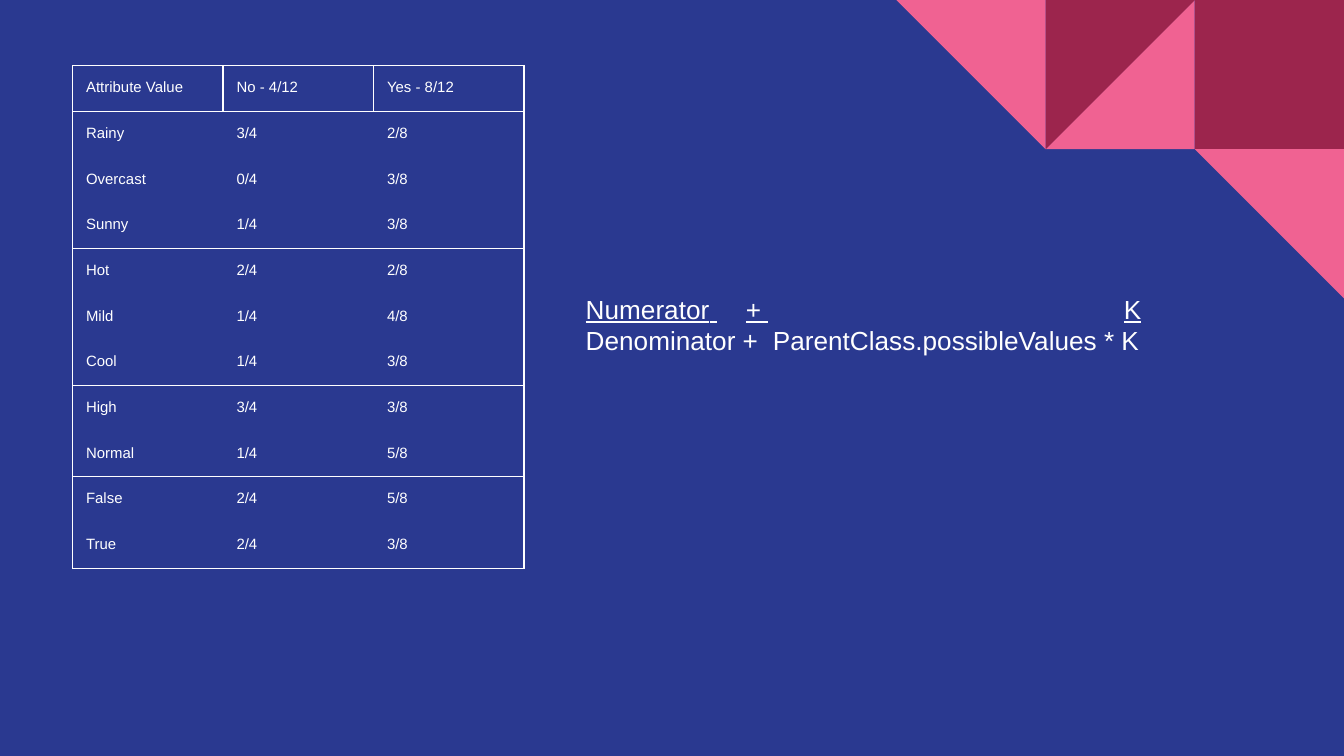
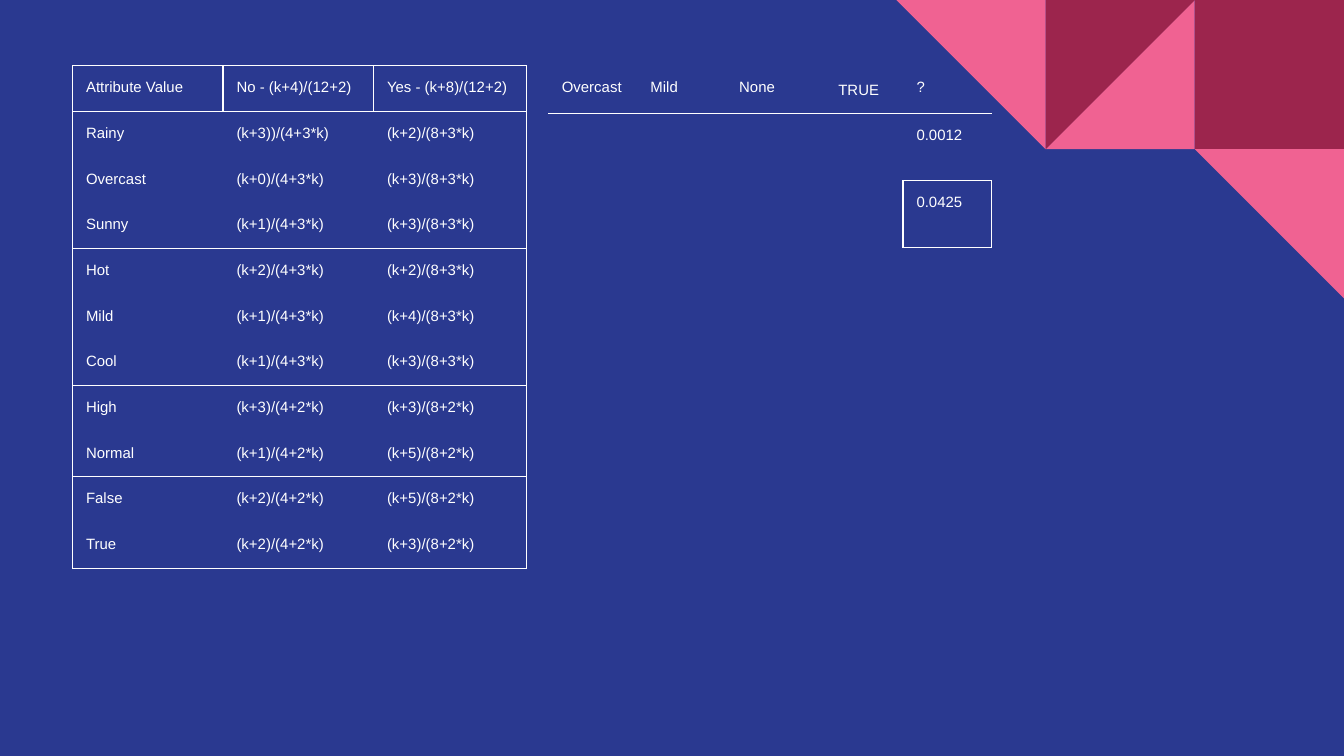
from lxml import etree
from pptx import Presentation
from pptx.dml.color import RGBColor
from pptx.enum import shapes, text
from pptx.oxml import ns
from pptx.util import Inches, Pt

BLUE = RGBColor(0x2A, 0x39, 0x90)
PINK = RGBColor(0xF0, 0x62, 0x92)
CRIMSON = RGBColor(0x9C, 0x25, 0x4D)
WHITE = RGBColor(0xFF, 0xFF, 0xFF)
FONT = "Arial"
INSET = 0.1
ROW_HEIGHT = 0.34
NO_STYLE_NO_GRID = "{2D5ABB26-0587-4C30-8999-92F81FD0307C}"

# Attribute values with their "No" and "Yes" counts, one group per attribute
NO_TOTAL, YES_TOTAL = 4, 8
ATTRIBUTES = [
    [("Rainy", 3, 2), ("Overcast", 0, 3), ("Sunny", 1, 3)],
    [("Hot", 2, 2), ("Mild", 1, 4), ("Cool", 1, 3)],
    [("High", 3, 3), ("Normal", 1, 5)],
    [("False", 2, 5), ("True", 2, 3)],
]


def set_insets(target):
    for side in ("left", "right", "top", "bottom"):
        setattr(target, f"margin_{side}", Inches(INSET))


def write_text(paragraph, content, size=8, underline=False, align=None,
               spacing=None, tracking=0):
    run = paragraph.add_run()
    run.text = content
    run.font.name = FONT
    run.font.size = Pt(size)
    run.font.color.rgb = WHITE
    run.font.underline = underline
    if align is not None:
        paragraph.alignment = align
    if spacing is not None:
        paragraph.line_spacing = spacing
    if tracking:
        run.font._element.set("spc", str(round(tracking * 100)))


# Shared master: background and corner pattern
def add_corner_pattern(group, left, top, side):
    rectangle = shapes.MSO_SHAPE.RECTANGLE
    triangle = shapes.MSO_SHAPE.RIGHT_TRIANGLE
    tiles = [  # column, row, preset, colour, rotation, flipped
        (2, 0, rectangle, CRIMSON, 0, False),
        (1, 0, triangle, PINK, 0, True),
        (1, 0, triangle, CRIMSON, 180, True),
        (0, 0, triangle, PINK, 180, False),
        (2, 1, triangle, PINK, 180, False),
    ]
    for column, row, preset, colour, rotation, flipped in tiles:
        tile = group.shapes.add_shape(
            preset, Inches(left + column * side), Inches(top + row * side),
            Inches(side), Inches(side))
        tile.shadow.inherit = False
        tile.fill.solid()
        tile.fill.fore_color.rgb = colour
        tile.line.fill.background()
        tile.rotation = rotation
        if flipped:
            tile.element.spPr.xfrm.set("flipH", "1")


def decorate_master(presentation, slide):
    master = presentation.slide_master
    master.background.fill.solid()
    master.background.fill.fore_color.rgb = BLUE
    group = slide.shapes.add_group_shape()
    add_corner_pattern(group, 6.67, 0, 1.11)
    master.element.cSld.spTree.append(group.element)


# Tables
def outline(first_row, last_row, first_column, last_column):
    """Return the grid edges around a block of cells."""
    edges = set()
    for row in range(first_row, last_row + 1):
        edges |= {("V", row, first_column), ("V", row, last_column + 1)}
    for column in range(first_column, last_column + 1):
        edges |= {("H", first_row, column), ("H", last_row + 1, column)}
    return edges


def draw_borders(table, edges):
    """Draw the given grid edges and clear all others."""
    for row in range(len(table.rows)):
        for column in range(len(table.columns)):
            properties = table.cell(row, column)._tc.get_or_add_tcPr()
            sides = {"L": ("V", row, column), "R": ("V", row, column + 1),
                     "T": ("H", row, column), "B": ("H", row + 1, column)}
            for index, (side, edge) in enumerate(sides.items()):
                line = etree.Element(ns.qn(f"a:ln{side}"), w=str(Pt(0.75)))
                if edge in edges:
                    fill = etree.SubElement(line, ns.qn("a:solidFill"))
                    etree.SubElement(fill, ns.qn("a:srgbClr"), val=str(WHITE))
                else:
                    etree.SubElement(line, ns.qn("a:noFill"))
                properties.insert(index, line)


def set_empty_font(paragraph, size):
    end = etree.SubElement(paragraph._p, ns.qn("a:endParaRPr"), sz=str(size * 100))
    etree.SubElement(end, ns.qn("a:latin"), typeface=FONT)


def add_plain_table(slide, left, top, widths, rows, centred=()):
    frame = slide.shapes.add_table(
        len(rows), len(widths), Inches(left), Inches(top),
        Inches(sum(widths)), Inches(ROW_HEIGHT * len(rows)))
    table = frame.table
    table.first_row = table.horz_banding = False
    for style in frame.element.iter(ns.qn("a:tableStyleId")):
        style.text = NO_STYLE_NO_GRID
    for column, width in zip(table.columns, widths):
        column.width = Inches(width)
    for row_index, values in enumerate(rows):
        table.rows[row_index].height = Inches(ROW_HEIGHT)
        for column_index, value in enumerate(values):
            cell = table.cell(row_index, column_index)
            set_insets(cell)
            cell.fill.background()
            paragraph = cell.text_frame.paragraphs[0]
            if value in centred:
                write_text(paragraph, value, align=text.PP_ALIGN.CENTER, spacing=1.15)
            elif value:
                write_text(paragraph, value)
            else:
                set_empty_font(paragraph, 18)
    return table


def add_attribute_table(slide, left, top, widths, header, rows):
    table = add_plain_table(slide, left, top, widths, [header] + rows)
    edges = set()
    for column in range(len(widths)):
        edges |= outline(0, 0, column, column)
    start = 1
    for group in ATTRIBUTES:
        edges |= outline(start, start + len(group) - 1, 0, len(widths) - 1)
        start += len(group)
    draw_borders(table, edges)


def add_prediction_table(slide, left, top):
    rows = [["Overcast", "Mild", "None", "TRUE", "?"],
            ["", "", "", "", "0.0012"],
            ["", "", "", "", "0.0425"]]
    table = add_plain_table(slide, left, top, [0.66] * 5, rows, centred=("TRUE",))
    header_rule = {("H", 1, column) for column in range(5)}
    draw_borders(table, header_rule | outline(2, 2, 4, 4))


# Smoothing formula: the gaps are single spaces, widened by tracking
def add_formula(slide, left, top, width, height):
    box = slide.shapes.add_textbox(Inches(left), Inches(top),
                                   Inches(width), Inches(height))
    frame = box.text_frame
    frame.word_wrap = True
    set_insets(frame)
    numerator = [("Numerator", 0), (" ", 15.5), ("+", 0), (" ", 190.5), ("K", 0)]
    denominator = [("Denominator +", 0), (" ", 3.9),
                   ("ParentClass.possibleValues * K", 0)]
    for content, tracking in numerator:
        write_text(frame.paragraphs[0], content, size=14, underline=True,
                   tracking=tracking)
    second_line = frame.add_paragraph()
    for content, tracking in denominator:
        write_text(second_line, content, size=14, tracking=tracking)


# Slides
def fill_counts_slide(slide):
    rows = [[name, f"{no}/{NO_TOTAL}", f"{yes}/{YES_TOTAL}"]
            for group in ATTRIBUTES for name, no, yes in group]
    add_attribute_table(slide, 0.54, 0.49, [1.12, 1.12, 1.12],
                        ["Attribute Value", "No - 4/12", "Yes - 8/12"], rows)
    add_formula(slide, 4.26, 2.08, 4.36, 0.55)


def fill_smoothing_slide(slide):
    rows = [[name, f"(k+{no})/({NO_TOTAL}+{len(group)}*k)",
             f"(k+{yes})/({YES_TOTAL}+{len(group)}*k)"]
            for group in ATTRIBUTES for name, no, yes in group]
    rows[0][1] = "(k+3))/(4+3*k)"
    header = ["Attribute Value", "No - (k+4)/(12+2)", "Yes - (k+8)/(12+2)"]
    add_attribute_table(slide, 0.54, 0.49, [1.12, 1.12, 1.14], header, rows)
    add_prediction_table(slide, 4.08, 0.49)


def main():
    presentation = Presentation()
    presentation.slide_width = Inches(10)
    presentation.slide_height = Inches(10) * 9 // 16
    blank = presentation.slide_layouts[6]
    counts_slide = presentation.slides.add_slide(blank)
    smoothing_slide = presentation.slides.add_slide(blank)
    decorate_master(presentation, counts_slide)
    fill_counts_slide(counts_slide)
    fill_smoothing_slide(smoothing_slide)
    presentation.save("out.pptx")


if __name__ == "__main__":
    main()
